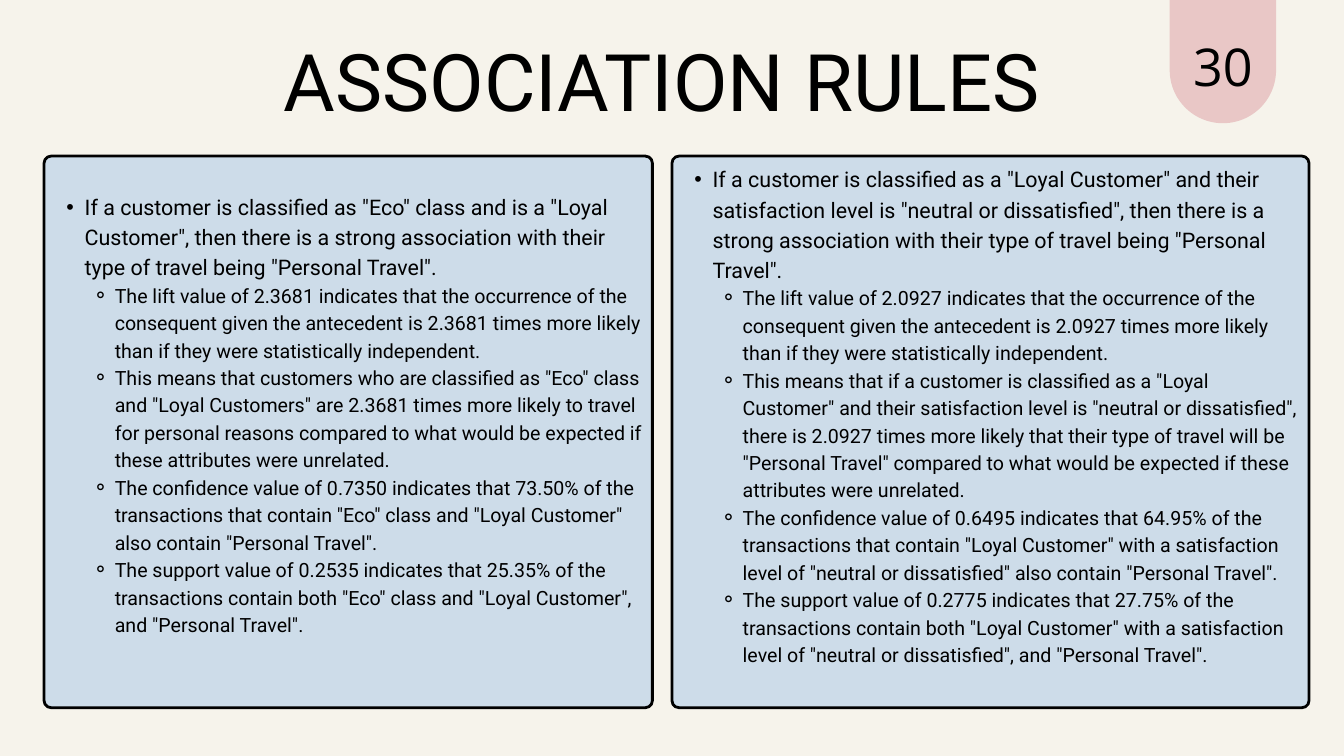
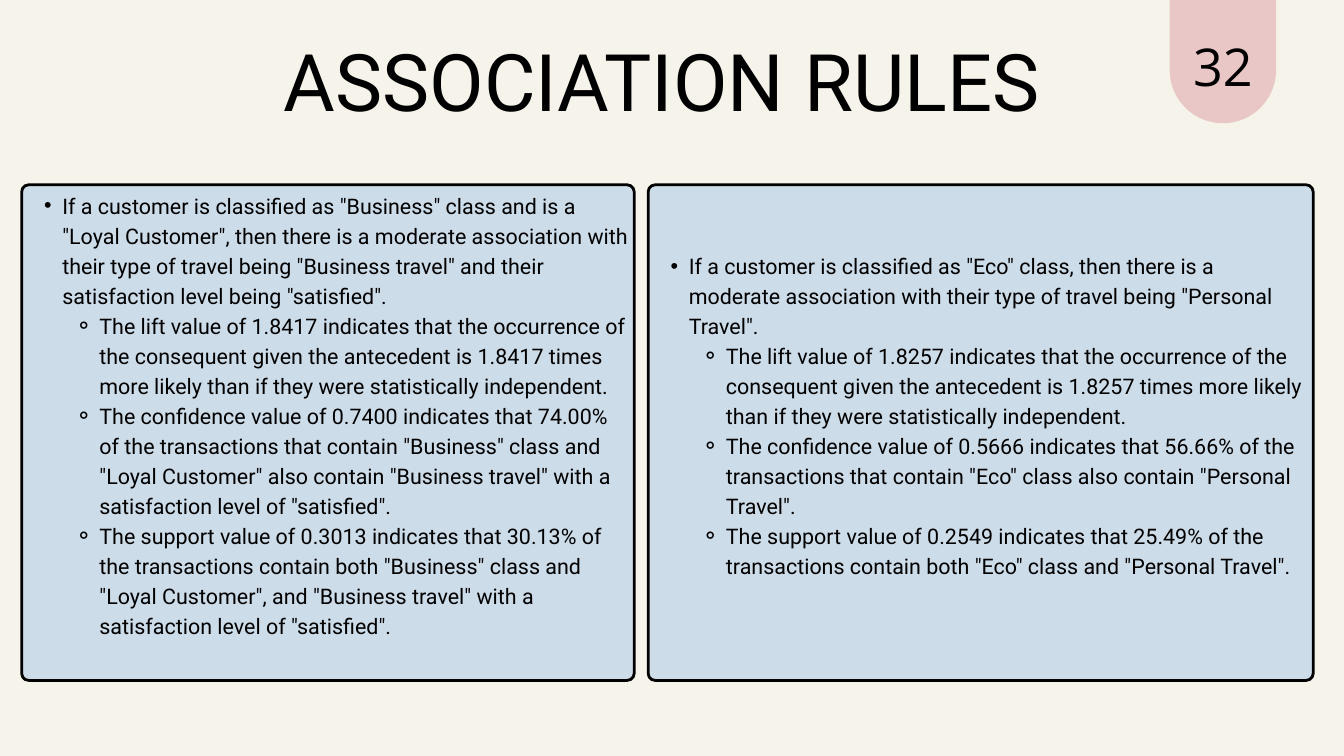
"""Build two association rule slides with paired panels of findings."""
import collections

import lxml.etree
import pptx
import pptx.dml.color
import pptx.enum.shapes
import pptx.enum.text
import pptx.oxml.ns
import pptx.util

PX = 9525
CREAM = pptx.dml.color.RGBColor(0xF6, 0xF3, 0xEB)
BLUE = pptx.dml.color.RGBColor(0xCD, 0xDC, 0xE9)
PINK = pptx.dml.color.RGBColor(0xE9, 0xC7, 0xC6)
BLACK = pptx.dml.color.RGBColor(0, 0, 0)
TEXT_FONT = "Roboto"
NUMBER_FONT = "Open Sans"
TITLE = "ASSOCIATION RULES "
TITLE_BOX = (268, 23, 1383, 153)
TAB_BOX = (1671, 0, 152, 176)
PANEL_RADIUS = 10
PANEL_INSET = 6
TEXT_RISE = 11

Style = collections.namedtuple("Style", "level bullet size leading margin hang")
RULE = Style(1, "•", 23, 32.2, 52, 26)
SMALL_DETAIL = Style(2, "⚬", 21, 29.4, 95, 32)
LARGE_DETAIL = Style(2, "⚬", 23, 32.2, 105, 35)
Panel = collections.namedtuple("Panel", "box room_below rule details")
Page = collections.namedtuple("Page", "number detail_style panels")


def lift(value):
    """Word the lift finding."""
    return (f"The lift value of {value} indicates that the occurrence of the consequent given "
            f"the antecedent is {value} times more likely than if they were statistically "
            "independent.")


def confidence(value, percent, finding):
    """Word the confidence finding."""
    return (f"The confidence value of {value} indicates that {percent} of the transactions "
            f"that contain {finding}.")


def support(value, percent, finding):
    """Word the support finding."""
    return (f"The support value of {value} indicates that {percent} of the transactions "
            f"contain both {finding}.")


PAGES = [
    Page("30", SMALL_DETAIL, [
        Panel((63, 223, 869, 788), 43,
              'If a customer is classified as "Eco" class and is a "Loyal Customer", then there '
              'is a strong association with their type of travel being "Personal Travel".',
              [lift("2.3681"),
               'This means that customers who are classified as "Eco" class and "Loyal '
               'Customers" are 2.3681 times more likely to travel for personal reasons compared '
               'to what would be expected if these attributes were unrelated.',
               confidence("0.7350", "73.50%",
                          '"Eco" class and "Loyal Customer" also contain "Personal Travel"'),
               support("0.2535", "25.35%",
                       '"Eco" class and "Loyal Customer", and "Personal Travel"')]),
        Panel((960, 223, 910, 788), 39,
              'If a customer is classified as a "Loyal Customer" and their satisfaction level is '
              '"neutral or dissatisfied", then there is a strong association with their type of '
              'travel being "Personal Travel".',
              [lift("2.0927"),
               'This means that if a customer is classified as a "Loyal Customer" and their '
               'satisfaction level is "neutral or dissatisfied", there is 2.0927 times more '
               'likely that their type of travel will be "Personal Travel" compared to what '
               'would be expected if these attributes were unrelated.',
               confidence("0.6495", "64.95%",
                          '"Loyal Customer" with a satisfaction level of "neutral or '
                          'dissatisfied" also contain "Personal Travel"'),
               support("0.2775", "27.75%",
                       '"Loyal Customer" with a satisfaction level of "neutral or '
                       'dissatisfied", and "Personal Travel"')]),
    ]),
    Page("32", LARGE_DETAIL, [
        Panel((31, 264, 875, 708), 43,
              'If a customer is classified as "Business" class and is a "Loyal Customer", then '
              'there is a moderate association with their type of travel being "Business '
              'travel" and their satisfaction level being "satisfied".',
              [lift("1.8417"),
               confidence("0.7400", "74.00%",
                          '"Business" class and "Loyal Customer" also contain "Business travel" '
                          'with a satisfaction level of "satisfied"'),
               support("0.3013", "30.13%",
                       '"Business" class and "Loyal Customer", and "Business travel" with a '
                       'satisfaction level of "satisfied"')]),
        Panel((926, 264, 950, 708), 43,
              'If a customer is classified as "Eco" class, then there is a moderate association '
              'with their type of travel being "Personal Travel".',
              [lift("1.8257"),
               confidence("0.5666", "56.66%", '"Eco" class also contain "Personal Travel"'),
               support("0.2549", "25.49%", '"Eco" class and "Personal Travel"')]),
    ]),
]


def emu(*lengths):
    """Turn px lengths into EMU."""
    return [pptx.util.Emu(length * PX) for length in lengths]


def set_frame(frame, anchor, inset=0):
    """Set wrapping, anchor and equal insets of a text frame."""
    frame.word_wrap = True
    frame.auto_size = pptx.enum.text.MSO_AUTO_SIZE.NONE
    frame.vertical_anchor = anchor
    frame.margin_left, frame.margin_top, frame.margin_right, frame.margin_bottom = emu(*[inset] * 4)


def add_span(para, text, font, size, leading):
    """Add one black run and set the line spacing of its paragraph."""
    para.line_spacing = pptx.util.Pt(leading)
    span = para.add_run()
    span.text = text
    span.font.name = font
    span.font.size = pptx.util.Pt(size)
    span.font.color.rgb = BLACK


def add_filled_shape(page, kind, box, colour):
    """Add a plain filled shape without line or shadow."""
    shape = page.shapes.add_shape(kind, *emu(*box))
    shape.shadow.inherit = False
    shape.fill.solid()
    shape.fill.fore_color.rgb = colour
    shape.line.fill.background()
    return shape


def set_title(page, box):
    """Place and fill the title placeholder."""
    title = page.shapes.title
    title.left, title.top, title.width, title.height = emu(*box)
    set_frame(title.text_frame, pptx.enum.text.MSO_ANCHOR.TOP)
    para = title.text_frame.paragraphs[0]
    para.alignment = pptx.enum.text.PP_ALIGN.CENTER
    add_span(para, TITLE, TEXT_FONT, 85, 119)


def add_number_tab(page, box, number):
    """Add the hanging tab with the page number."""
    left, top, width, height = box
    tab = add_filled_shape(
        page, pptx.enum.shapes.MSO_SHAPE.ROUND_2_SAME_RECTANGLE, box, PINK)
    tab.adjustments[0] = 0
    tab.adjustments[1] = 0.5
    label = page.shapes.add_textbox(*emu(left - 6, top + 35, width + 12, 98))
    set_frame(label.text_frame, pptx.enum.text.MSO_ANCHOR.TOP)
    para = label.text_frame.paragraphs[0]
    para.alignment = pptx.enum.text.PP_ALIGN.CENTER
    add_span(para, number, NUMBER_FONT, 55.8, 78)


def add_bullet(para, text, style):
    """Fill a paragraph as a bulleted item."""
    para.level = style.level
    properties = para._p.get_or_add_pPr()
    margin, hang = emu(style.margin, style.hang)
    properties.set("marL", str(margin))
    properties.set("indent", str(-hang))
    for tag, name, value in (("a:buFont", "typeface", "Arial"),
                             ("a:buChar", "char", style.bullet)):
        lxml.etree.SubElement(properties, pptx.oxml.ns.qn(tag)).set(name, value)
    add_span(para, text, TEXT_FONT, style.size, style.leading)


def add_panel(page, panel, detail_style):
    """Add a rounded panel with its rule and details."""
    left, top, width, height = panel.box
    card = add_filled_shape(
        page, pptx.enum.shapes.MSO_SHAPE.ROUNDED_RECTANGLE, panel.box, BLUE)
    card.adjustments[0] = PANEL_RADIUS / min(width, height)
    card.line.color.rgb = BLACK
    card.line.width = pptx.util.Pt(3)
    body = page.shapes.add_textbox(*emu(left, top - TEXT_RISE, width, height + TEXT_RISE))
    frame = body.text_frame
    set_frame(frame, pptx.enum.text.MSO_ANCHOR.MIDDLE, PANEL_INSET)
    frame.margin_bottom = emu(PANEL_INSET + panel.room_below)[0]
    add_bullet(frame.paragraphs[0], panel.rule, RULE)
    for detail in panel.details:
        add_bullet(frame.add_paragraph(), detail, detail_style)


def add_page(deck, content):
    """Add one slide of association rules."""
    page = deck.slides.add_slide(deck.slide_layouts.get_by_name("Title Only"))
    set_title(page, TITLE_BOX)
    for panel in content.panels:
        add_panel(page, panel, content.detail_style)
    add_number_tab(page, TAB_BOX, content.number)


def main():
    """Build and save the deck."""
    deck = pptx.Presentation()
    deck.slide_width, deck.slide_height = emu(1920, 1080)
    background = deck.slide_master.background.fill
    background.solid()
    background.fore_color.rgb = CREAM
    for content in PAGES:
        add_page(deck, content)
    deck.save("out.pptx")


if __name__ == "__main__":
    main()
